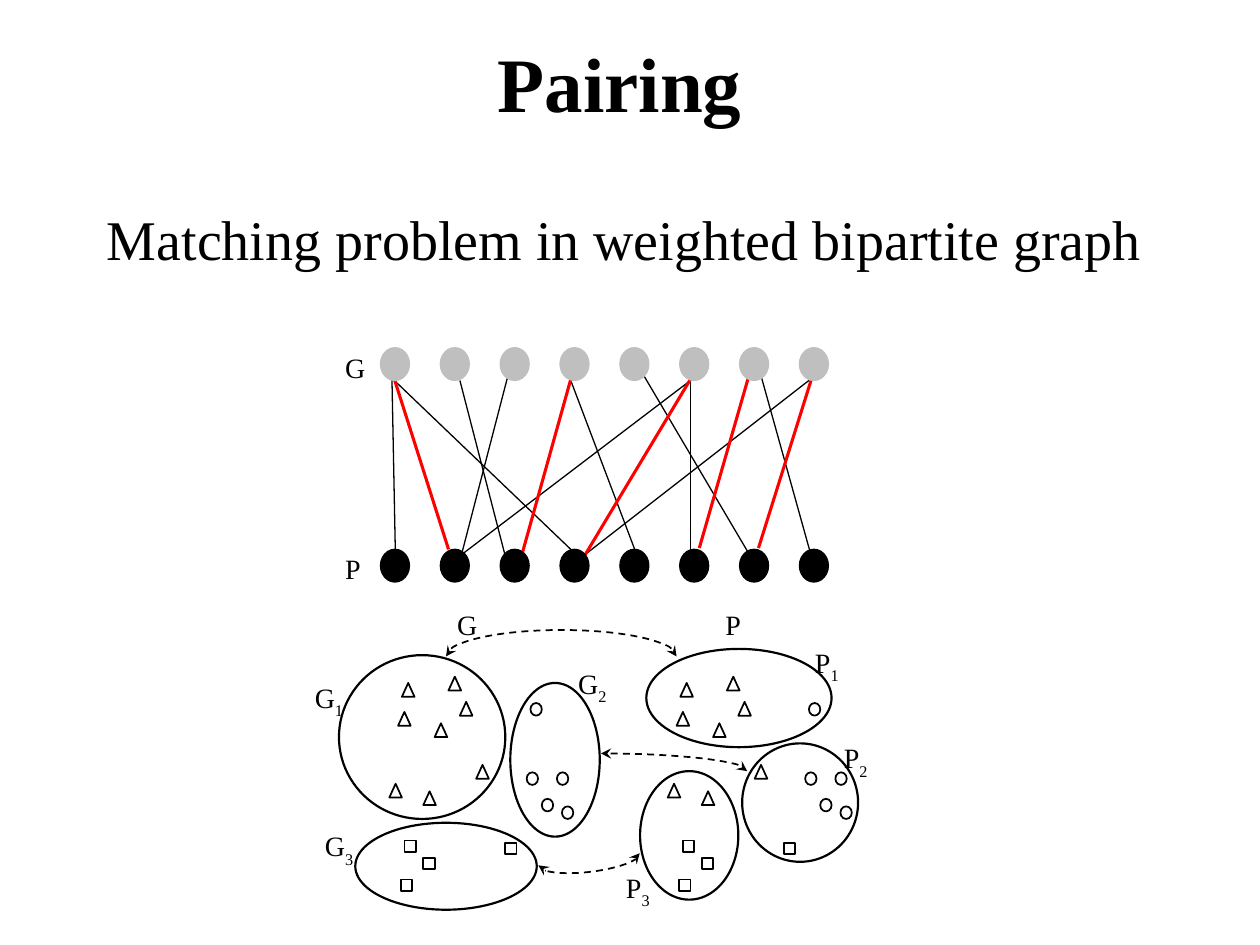
from pptx import Presentation
from pptx.dml.color import RGBColor
from pptx.enum.dml import MSO_LINE
from pptx.enum.shapes import MSO_CONNECTOR, MSO_SHAPE as SHAPE
from pptx.enum.text import MSO_ANCHOR as ANCHOR, PP_ALIGN as ALIGN
from pptx.oxml.ns import qn
from pptx.util import Inches, Pt
from lxml.etree import SubElement

COLORS = {"black": "000000", "white": "FFFFFF", "gray": "BFBFBF", "red": "FF0000"}
FONT = "Times New Roman"

# Bipartite graph: nodes per row, spacing and edges as x1, y1, x2, y2
NODES, NODE_STEP, ROW_STEP = 8, 0.475, 1.6
EDGES = [
    (0.11, 0.26, 1.51, 1.60), (1.51, 0.26, 2.04, 1.66), (0.63, 0.26, 1.01, 1.73),
    (2.46, 0.26, 2.46, 1.60), (2.46, 0.26, 0.62, 1.66), (3.40, 0.26, 1.60, 1.66),
    (0.09, 0.20, 0.12, 1.73), (1.03, 0.15, 0.62, 1.73), (2.03, 0.12, 2.98, 1.73),
    (3.00, 0.15, 3.44, 1.73),
]
MATCHED = [
    (0.11, 0.25, 0.54, 1.60), (1.51, 0.25, 1.12, 1.65), (2.46, 0.25, 1.62, 1.65),
    (2.93, 0.20, 2.53, 1.59), (3.42, 0.25, 3.00, 1.59),
]

# Clusters: ellipses as x, y, w, h
CLUSTERS = [
    (2.68, 1.35, 0.78, 1.02), (3.49, 1.13, 0.92, 0.94), (2.73, 0.38, 1.47, 0.78),
    (0.29, 0.43, 1.32, 1.30), (0.42, 1.76, 1.44, 0.69), (1.65, 0.65, 0.71, 1.22),
]
# Members, the same in both partitions: shape, w, h, positions
MEMBERS = [
    (SHAPE.ISOSCELES_TRIANGLE, 0.10, 0.11,
     [(0.79, 0.65), (1.16, 0.60), (1.05, 0.97), (0.76, 0.88),
      (1.25, 0.80), (1.38, 1.30), (0.96, 1.51), (0.69, 1.45)]),
    (SHAPE.RECTANGLE, 0.09, 0.09,
     [(0.81, 1.90), (0.96, 2.04), (1.61, 1.92), (0.78, 2.21)]),
    (SHAPE.OVAL, 0.09, 0.10,
     [(1.81, 0.81), (1.78, 1.36), (2.06, 1.63), (2.02, 1.36), (1.90, 1.57)]),
]
PARTITION_STEP = 2.21
LABELS = [
    ("G", "", 1.13, 0), ("P", "", 3.26, 0),
    ("G", "1", 0, 0.58), ("G", "2", 2.09, 0.47), ("G", "3", 0.08, 1.76),
    ("P", "1", 3.97, 0.30), ("P", "2", 4.20, 1.06), ("P", "3", 2.47, 2.09),
]
# Pairing arrows: x, y, w, h, start angle, end angle, rotation
PAIR_ARCS = [
    (1.14, 0.23, 1.83, 0.42, 180, 0, 0),
    (1.21, 1.21, 2.32, 0.28, 270, 0, 0),
    (1.87, 1.95, 0.81, 0.20, 0, 180, -6.8),
]


def rgb(name):
    return RGBColor.from_string(COLORS[name])


def write(p, text, size=16, bold=False, sub=False):
    r = p.add_run()
    r.text = text
    r.font.name, r.font.size, r.font.bold = FONT, Pt(size), bold
    r.font.color.rgb = rgb("black")
    if sub:
        r._r.get_or_add_rPr().set("baseline", "-30000")


def add_label(s, x, y, text, sub="", w=0.5, h=0.35, size=16, top=0.05):
    tf = s.shapes.add_textbox(Inches(x), Inches(y), Inches(w), Inches(h)).text_frame
    tf.word_wrap = True
    tf.margin_top = Inches(top)
    write(tf.paragraphs[0], text, size)
    if sub:
        write(tf.paragraphs[0], sub, size, sub=True)


def add_mark(s, kind, x, y, w, h, fill="white", line="black", width=1.0):
    sp = s.shapes.add_shape(kind, Inches(x), Inches(y), Inches(w), Inches(h))
    sp.shadow.inherit = False
    if fill:
        sp.fill.solid()
        sp.fill.fore_color.rgb = rgb(fill)
    else:
        sp.fill.background()
    sp.line.color.rgb = rgb(line)
    sp.line.width = Pt(width)
    return sp


def add_edge(s, x, y, edge, color, width):
    x1, y1, x2, y2 = edge
    line = s.shapes.add_connector(MSO_CONNECTOR.STRAIGHT, Inches(x + x1), Inches(y + y1),
                                  Inches(x + x2), Inches(y + y2))
    line.line.color.rgb = rgb(color)
    line.line.width = Pt(width)
    SubElement(line._element.spPr, qn("a:effectLst"))


def add_pair_arc(s, x, y, w, h, start, end, rotation):
    arc = add_mark(s, SHAPE.ARC, x, y, w, h, fill=None)
    # Angles are 60000ths of a degree, adjustments are scaled by 100000
    arc.adjustments[0], arc.adjustments[1] = start * 0.6, end * 0.6
    arc.rotation = rotation
    arc.line.dash_style = MSO_LINE.DASH
    for tag in ("a:headEnd", "a:tailEnd"):
        SubElement(arc.line._get_or_add_ln(), qn(tag), type="stealth")


def add_title(s, x, y, w, h):
    title = s.shapes.title
    title.left, title.top, title.width, title.height = map(Inches, (x, y, w, h))
    tf = title.text_frame
    tf.margin_left = tf.margin_top = tf.margin_right = tf.margin_bottom = 0
    tf.vertical_anchor = ANCHOR.MIDDLE
    p = tf.paragraphs[0]
    p.alignment = ALIGN.CENTER
    write(p, "Pairing", 44, bold=True)


def add_bipartite_graph(s, x, y):
    for edges, color, width in ((EDGES, "black", 0.75), (MATCHED, "red", 1.75)):
        for edge in edges:
            add_edge(s, x, y, edge, color, width)
    for row, (name, color) in enumerate((("G", "gray"), ("P", "black"))):
        top = y + row * ROW_STEP
        add_label(s, x - 0.38, top - 0.03, name, w=0.47, h=0.47)
        for i in range(NODES):
            add_mark(s, SHAPE.OVAL, x + i * NODE_STEP, top, 0.23, 0.26, color, color, 0.75)


def add_clusters(s, x, y):
    for cx, cy, w, h in CLUSTERS:
        add_mark(s, SHAPE.OVAL, x + cx, y + cy, w, h, width=1.25)
    for shift in (0, PARTITION_STEP):
        for kind, w, h, places in MEMBERS:
            for mx, my in places:
                add_mark(s, kind, x + shift + mx, y + my, w, h)
    for ax, ay, *shape in PAIR_ARCS:
        add_pair_arc(s, x + ax, y + ay, *shape)
    for name, sub, lx, ly in LABELS:
        add_label(s, x + lx, y + ly, name, sub)


def main():
    prs = Presentation()
    prs.slide_width, prs.slide_height = Inches(10), Inches(7.5)
    s = prs.slides.add_slide(prs.slide_layouts[5])
    add_title(s, 0.98, 0.22, 7.88, 0.85)
    add_label(s, 0.75, 1.43, "Matching problem in weighted bipartite graph",
              w=8.78, h=0.95, size=32, top=0.19)
    add_bipartite_graph(s, 3.02, 2.76)
    add_clusters(s, 2.4, 4.77)
    prs.save("out.pptx")


if __name__ == "__main__":
    main()
